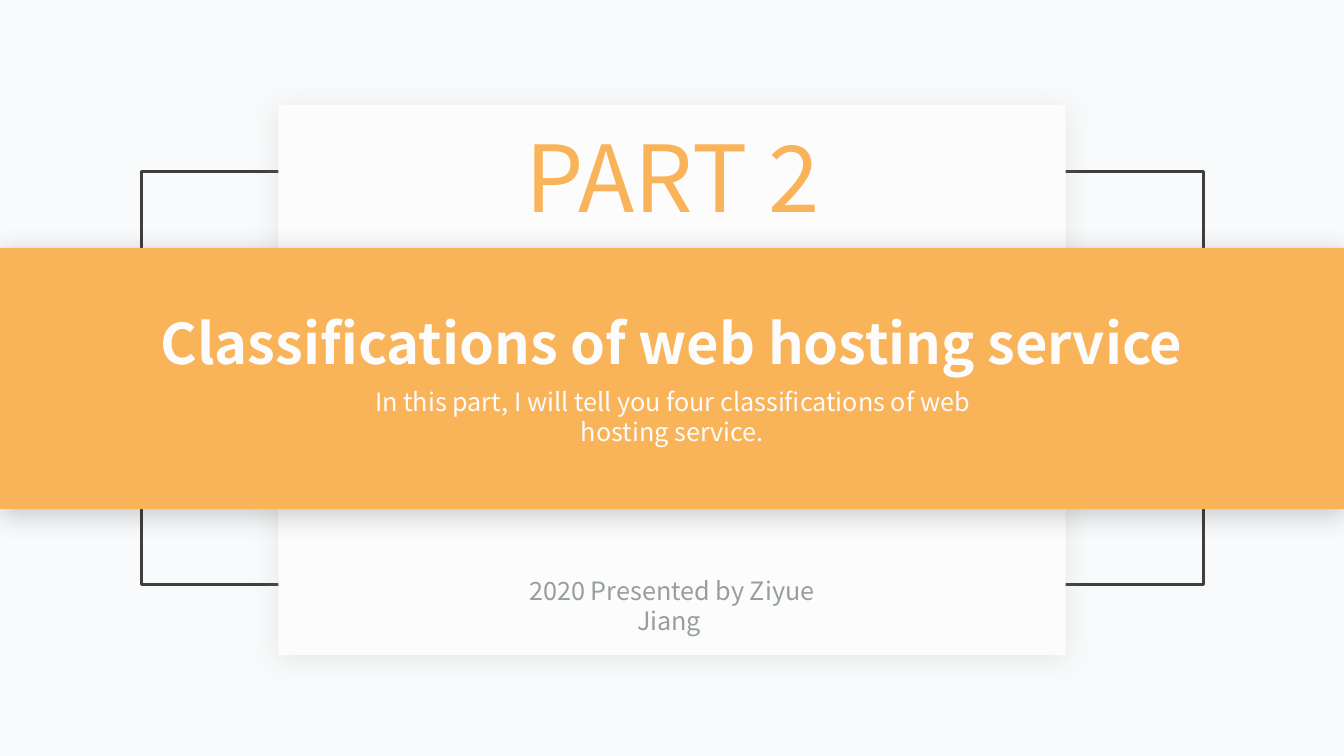
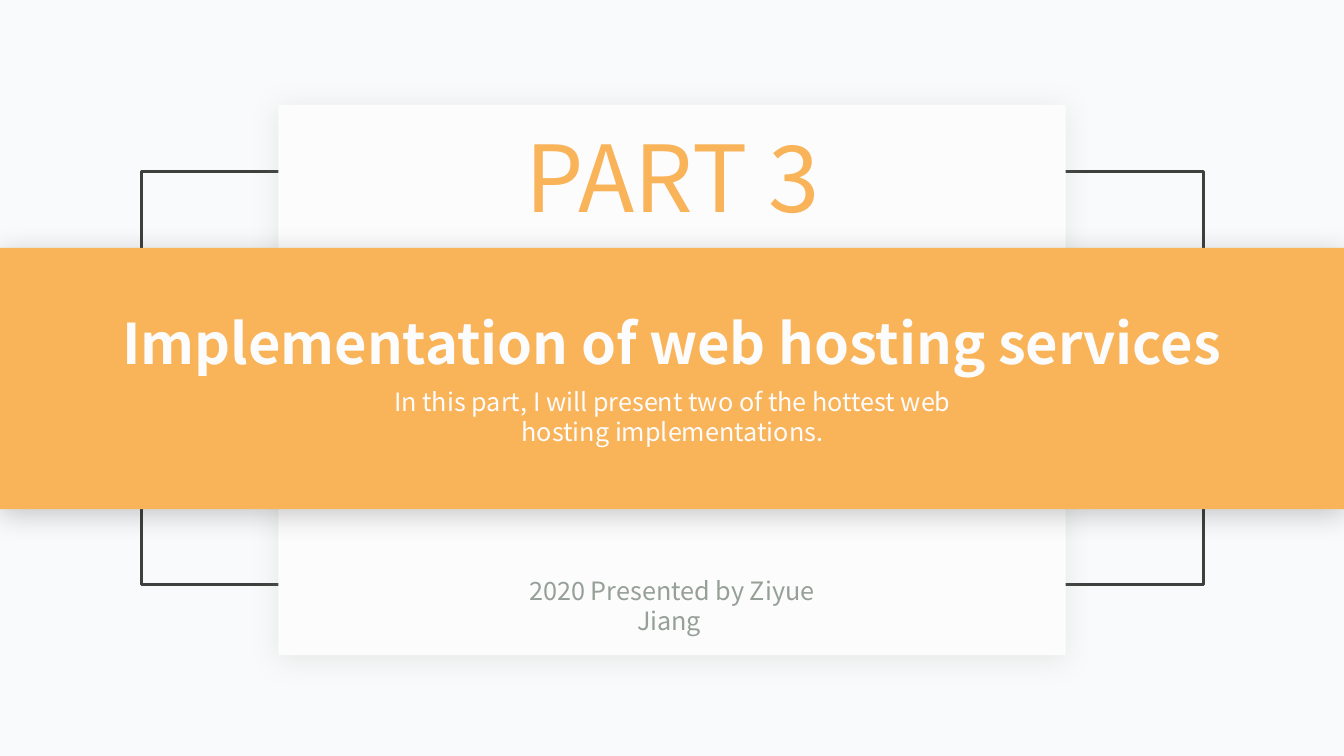
from dataclasses import dataclass
from typing import Optional

from lxml.etree import SubElement
from pptx import Presentation
from pptx.dml.color import RGBColor
from pptx.enum.shapes import MSO_SHAPE
from pptx.enum.text import MSO_ANCHOR, MSO_AUTO_SIZE, PP_ALIGN
from pptx.oxml.ns import qn
from pptx.presentation import Presentation as Deck
from pptx.shapes.base import BaseShape
from pptx.slide import Slide
from pptx.util import Inches, Pt


@dataclass(frozen=True)
class Theme:
    font: str = "Noto Sans CJK SC"
    background: str = "F9FAFB"
    paper: str = "FCFCFD"
    accent: str = "F9B359"
    ink: str = "3F403E"
    muted: str = "969F98"
    shade: str = "000000"
    part_size: int = 66
    title_size: int = 40
    body_size: int = 18


@dataclass(frozen=True)
class Box:
    left: float
    top: float
    width: float
    height: float


@dataclass(frozen=True)
class Panel:
    box: Box
    fill: Optional[str] = None
    line: Optional[str] = None
    shadow: Optional[str] = None


@dataclass(frozen=True)
class TextStyle:
    box: Box
    size: int
    color: str
    bold: bool = False


@dataclass(frozen=True)
class Section:
    number: int
    title: str
    summary: str


THEME = Theme()
WIDTH, HEIGHT = 13.33, 7.5
PRESENTER = "2020 Presented by Ziyue Jiang "

PANELS = (
    Panel(Box(1.4, 1.7, 10.54, 4.1), line=THEME.ink),
    Panel(Box(2.76, 1.04, 7.81, 5.46), fill=THEME.paper, shadow=THEME.muted),
    Panel(Box(0, 2.46, WIDTH, 2.59), fill=THEME.accent, shadow=THEME.shade),
)

TITLE = TextStyle(Box(0.94, 3.01, 11.44, 0.77), THEME.title_size, THEME.paper, True)
SUMMARY = TextStyle(Box(3.51, 3.78, 6.32, 0.71), THEME.body_size, THEME.paper)
PART = TextStyle(Box(5.05, 1.14, 3.24, 1.21), THEME.part_size, THEME.accent)
FOOTER = TextStyle(Box(4.85, 5.66, 3.63, 0.4), THEME.body_size, THEME.muted)

SECTIONS = (
    Section(
        2,
        "Classifications of web hosting service",
        "In this part, I will tell you four classifications of web hosting service.",
    ),
    Section(
        3,
        "Implementation of web hosting services",
        "In this part, I will present two of the hottest web hosting implementations.",
    ),
)


def rgb(color: str) -> RGBColor:
    return RGBColor.from_string(color)


def place(sp: BaseShape, box: Box) -> None:
    sp.left, sp.top = Inches(box.left), Inches(box.top)
    sp.width, sp.height = Inches(box.width), Inches(box.height)


def add_shadow(sp: BaseShape, color: str) -> None:
    effects = sp._element.spPr.find(qn("a:effectLst"))
    shadow = SubElement(
        effects,
        qn("a:outerShdw"),
        blurRad=str(Pt(20)),
        dist=str(Pt(3)),
        dir="5400000",
        algn="t",
        rotWithShape="0",
    )
    tint = SubElement(shadow, qn("a:srgbClr"), val=color)
    SubElement(tint, qn("a:alpha"), val="20000")


def add_panel(slide: Slide, panel: Panel) -> None:
    sp = slide.shapes.add_shape(MSO_SHAPE.RECTANGLE, 0, 0, 0, 0)
    place(sp, panel.box)
    sp.shadow.inherit = False
    if panel.fill:
        sp.fill.solid()
        sp.fill.fore_color.rgb = rgb(panel.fill)
    else:
        sp.fill.background()
    if panel.line:
        sp.line.color.rgb = rgb(panel.line)
        sp.line.width = Pt(2)
    else:
        sp.line.fill.background()
    if panel.shadow:
        add_shadow(sp, panel.shadow)


def write(sp: BaseShape, text: str, style: TextStyle) -> None:
    place(sp, style.box)
    tf = sp.text_frame
    tf.text = text
    tf.word_wrap = True
    tf.auto_size = MSO_AUTO_SIZE.NONE
    tf.vertical_anchor = MSO_ANCHOR.TOP
    p = tf.paragraphs[0]
    p.alignment = PP_ALIGN.CENTER
    p.space_before = Pt(0)
    font = p.runs[0].font
    font.name = THEME.font
    font.size = Pt(style.size)
    font.bold = style.bold
    font.color.rgb = rgb(style.color)


def add_text(slide: Slide, text: str, style: TextStyle) -> None:
    write(slide.shapes.add_textbox(0, 0, 0, 0), text, style)


def bring_to_front(slide: Slide, sp: BaseShape) -> None:
    slide.shapes._spTree.append(sp._element)


def add_section(prs: Deck, section: Section) -> None:
    slide = prs.slides.add_slide(prs.slide_layouts[0])
    for panel in PANELS:
        add_panel(slide, panel)
    title, summary = slide.shapes.title, slide.placeholders[1]
    for sp, text, style in (
        (title, section.title, TITLE),
        (summary, section.summary, SUMMARY),
    ):
        write(sp, text, style)
        bring_to_front(slide, sp)
    add_text(slide, f"PART {section.number}", PART)
    add_text(slide, PRESENTER, FOOTER)


def main() -> None:
    prs = Presentation()
    prs.slide_width, prs.slide_height = Inches(WIDTH), Inches(HEIGHT)
    background = prs.slide_master.background.fill
    background.solid()
    background.fore_color.rgb = rgb(THEME.background)
    for section in SECTIONS:
        add_section(prs, section)
    prs.save("out.pptx")


if __name__ == "__main__":
    main()
